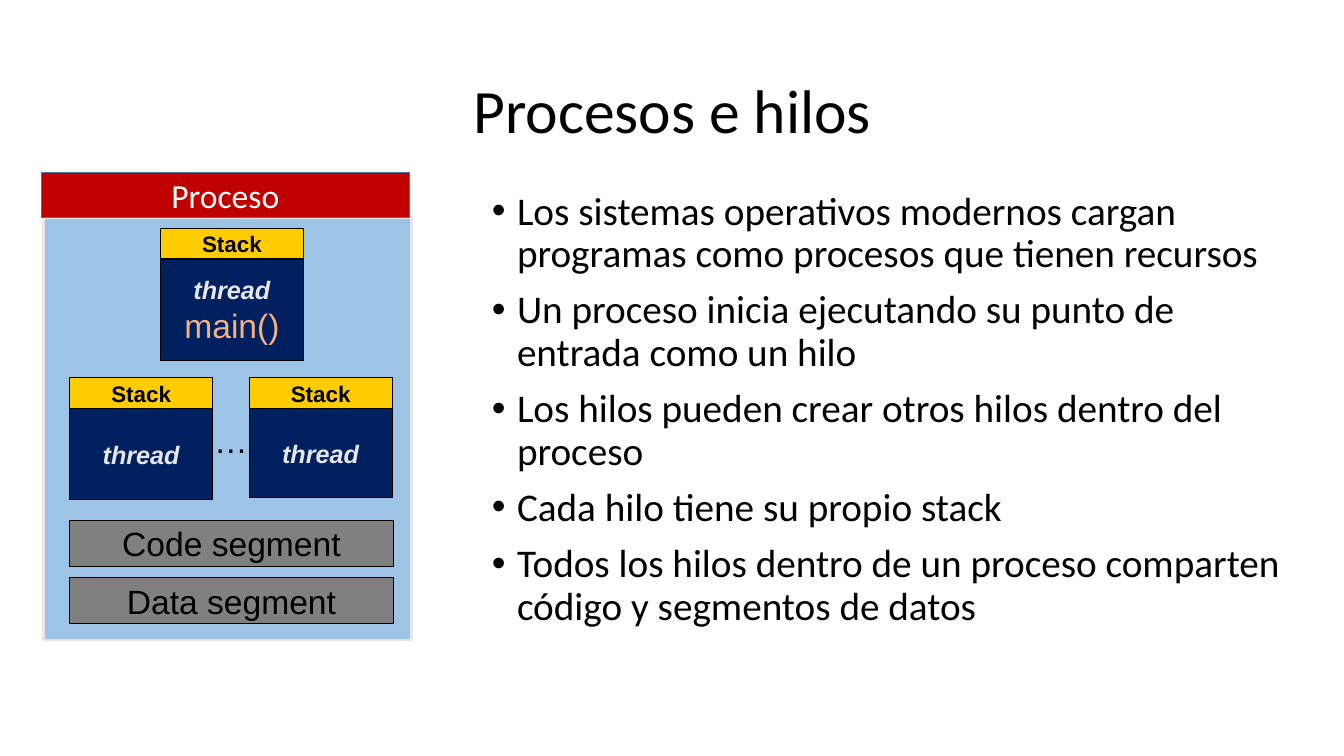
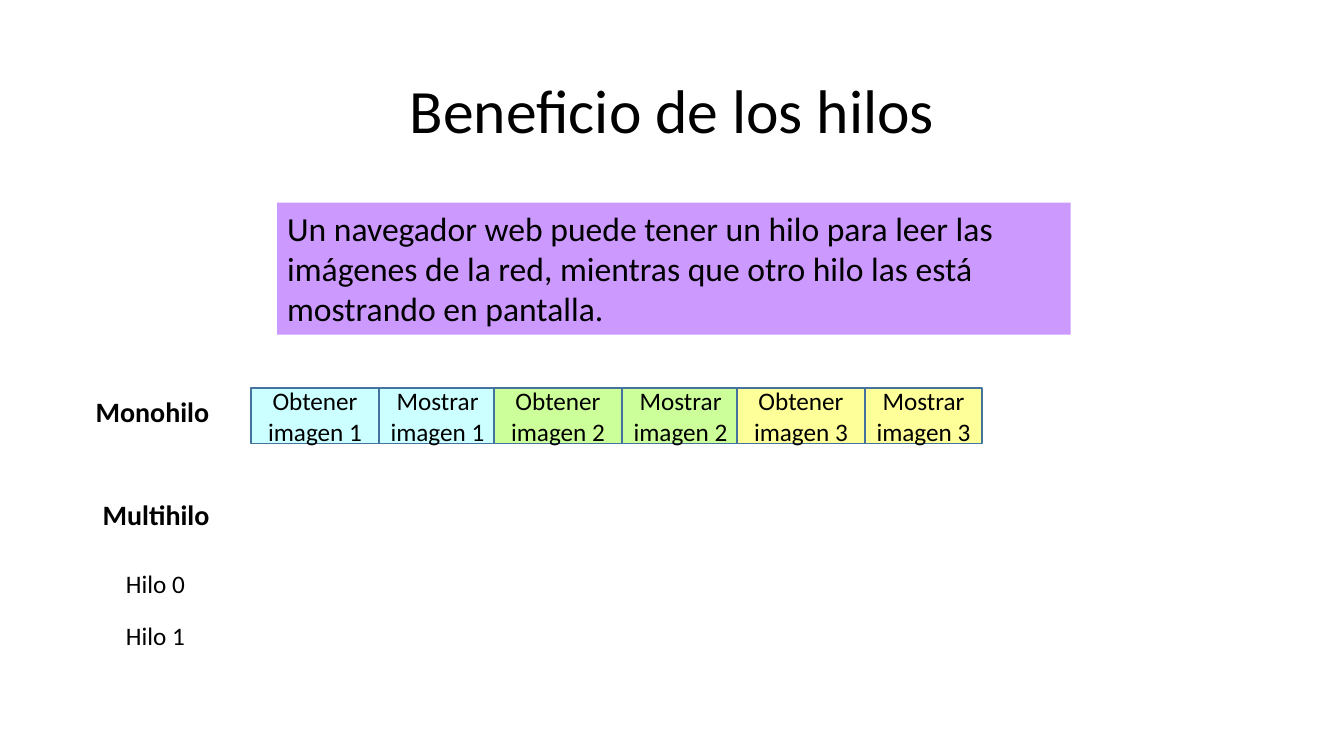
import pptx
import pptx.dml.color
import pptx.enum.shapes
import pptx.enum.text
import pptx.oxml
import pptx.oxml.ns
import pptx.util
from pptx.util import Inches, Pt

ALIGN = pptx.enum.text.PP_ALIGN
ANCHOR = pptx.enum.text.MSO_ANCHOR

BLACK, WHITE, SILVER = "000000", "FFFFFF", "E7E6E6"
NAVY, GOLD, GRAY, RED = "002060", "FFCC00", "808080", "C00000"
SKY, PEACH, VIOLET, BORDER = "9DC3E6", "F4B183", "CC99FF", "43739E"

TITLE_AT = (0.92, 0.4, 11.5, 1.45)
TITLE = dict(size=44)
STACK = dict(size=16, font="Arial", bold=True)
THREAD = dict(size=18, font="Arial", color=SILVER, bold=True, italic=True)
MAIN = dict(size=24, font="Arial", color=PEACH)
SEGMENT = dict(size=24, font="Arial")
POINT = dict(size=28)
STEP = dict(size=18)
MODE = dict(size=20, bold=True)

process_title = "Procesos e hilos"
process_points = [
    "Los sistemas operativos modernos cargan programas como procesos que tienen recursos",
    "Un proceso inicia ejecutando su punto de entrada como un hilo",
    "Los hilos pueden crear otros hilos dentro del proceso",
    "Cada hilo tiene su propio stack",
    "Todos los hilos dentro de un proceso comparten código y segmentos de datos",
]
segments = ["Code segment", "Data segment"]
threads = [
    (1.59, 2.27, 1.01, [("thread", THREAD), ("main()", MAIN)]),
    (0.69, 3.75, 0.91, [("thread", THREAD)]),
    (2.47, 3.75, 0.89, [("thread", THREAD)]),
]

benefit_title = "Beneficio de los hilos"
benefit = ("Un navegador web puede tener un hilo para leer las imágenes de la red, "
           "mientras que otro hilo las está mostrando en pantalla.")
image_colors = ["CCFFFF", "CCFF99", "FFFF99"]
actions = [("Obtener", 0, 1.27), ("Mostrar", 1.27, 1.16)]
row_labels = [
    ("Monohilo", MODE, (0.85, 3.86, 1.34, 0.44)),
    ("Multihilo", MODE, (0.92, 4.89, 1.27, 0.44)),
    ("Hilo 0", STEP, (1.15, 5.59, 0.79, 0.4)),
    ("Hilo 1", STEP, (1.15, 6.11, 0.79, 0.4)),
]


def rgb(color):
    return pptx.dml.color.RGBColor.from_string(color)


def write(frame, lines, align=ALIGN.CENTER, anchor=ANCHOR.MIDDLE, wrap=True):
    frame.word_wrap = wrap
    frame.vertical_anchor = anchor
    frame.text = "\n".join(text for text, style in lines)
    for paragraph, (text, style) in zip(frame.paragraphs, lines):
        paragraph.alignment = align
        font = paragraph.runs[0].font
        font.name = style.get("font", "Calibri")
        font.size = Pt(style["size"])
        font.bold = style.get("bold", False)
        font.italic = style.get("italic", False)
        font.color.rgb = rgb(style.get("color", BLACK))
    return frame.paragraphs


def label(slide, at, lines, **layout):
    box = slide.shapes.add_textbox(*map(Inches, at))
    return write(box.text_frame, lines, **layout)


def block(slide, at, fill, line=None, weight=0.75, lines=(), **layout):
    shape = slide.shapes.add_shape(
        pptx.enum.shapes.MSO_SHAPE.RECTANGLE, *map(Inches, at))
    shape.shadow.inherit = False
    shape.fill.solid()
    shape.fill.fore_color.rgb = rgb(fill)
    if line:
        shape.line.color.rgb = rgb(line)
        shape.line.width = Pt(weight)
    else:
        shape.line.fill.background()
    if lines:
        write(shape.text_frame, lines, **layout)


def add_bullet(paragraph):
    properties = paragraph._p.get_or_add_pPr()
    properties.set("marL", str(Inches(0.25)))
    properties.set("indent", str(Inches(-0.25)))
    for tag, name, value in [("a:buFont", "typeface", "Arial"), ("a:buChar", "char", "•")]:
        bullet = pptx.oxml.parse_xml(f"<{tag} {pptx.oxml.ns.nsdecls('a')}/>")
        bullet.set(name, value)
        properties.append(bullet)


def titled_slide(title):
    slide = deck.slides.add_slide(deck.slide_layouts[6])
    heading = label(slide, TITLE_AT, [(title, TITLE)])[0]
    heading.line_spacing = 0.9
    return slide


deck = pptx.Presentation()
deck.slide_width, deck.slide_height = Inches(13.33), Inches(7.5)

process = titled_slide(process_title)
points = label(process, (4.78, 1.85, 8.14, 5.24), [(point, POINT) for point in process_points],
               align=ALIGN.LEFT, anchor=ANCHOR.TOP)
for point in points:
    point.line_spacing = 0.9
    point.space_before = Pt(10)
    add_bullet(point)

block(process, (0.43, 2.16, 3.65, 4.19), SKY, SILVER, 2)
for row, segment in enumerate(segments):
    block(process, (0.69, 5.16 + row * 0.57, 3.21, 0.46), GRAY, BLACK,
          lines=[(segment, SEGMENT)], wrap=False)
label(process, (1.97, 4.2, 0.64, 0.33), [("…", SEGMENT)], wrap=False)
stack_height = 0.3
for left, top, height, lines in threads:
    block(process, (left, top + stack_height, 1.42, height), NAVY, BLACK,
          lines=lines, wrap=False)
    block(process, (left, top, 1.42, stack_height), GOLD, BLACK,
          lines=[("Stack", STACK)], wrap=False)
block(process, (0.41, 1.71, 3.65, 0.45), RED, BORDER, 1,
      lines=[("Proceso", dict(size=24, color=WHITE))])

benefits = titled_slide(benefit_title)
for image, color in enumerate(image_colors):
    for action, offset, width in actions:
        block(benefits, (2.49 + image * 2.41 + offset, 3.85, width, 0.55), color, BORDER, 1,
              lines=[(f"{action} imagen {image + 1}", STEP)])
for text, style, at in row_labels:
    label(benefits, at, [(text, style)], align=ALIGN.LEFT, anchor=ANCHOR.TOP, wrap=False)
block(benefits, (2.75, 2.01, 7.87, 1.31), VIOLET, lines=[(benefit, dict(size=24))],
      align=ALIGN.LEFT, anchor=ANCHOR.TOP)

deck.save("out.pptx")
